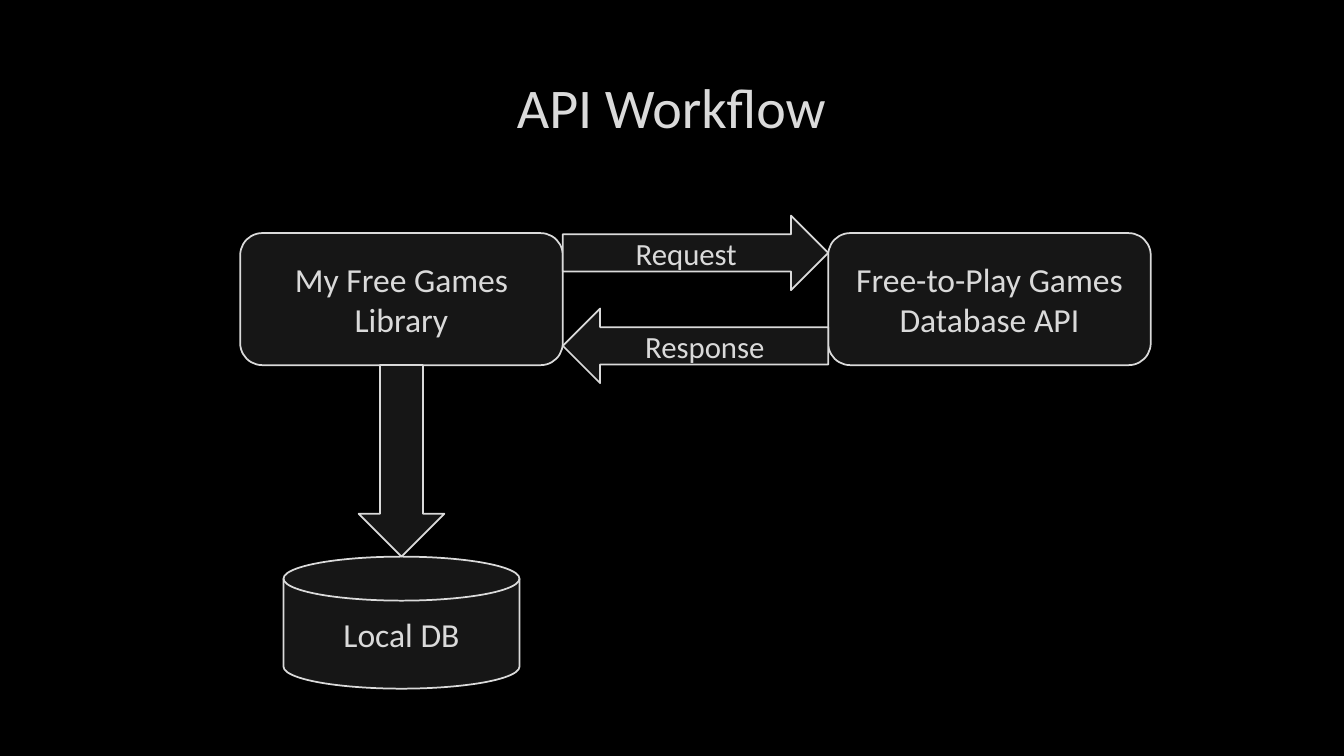
import pptx
import pptx.util
import pptx.dml.color
import pptx.enum.shapes
import pptx.enum.text

Pt = pptx.util.Pt
RGB = pptx.dml.color.RGBColor
KIND = pptx.enum.shapes.MSO_SHAPE
ANCHOR = pptx.enum.text.MSO_ANCHOR

BLACK = RGB(0x00, 0x00, 0x00)
DARK = RGB(0x16, 0x16, 0x16)
LIGHT = RGB(0xDA, 0xDA, 0xDA)
FONT = "Calibri"

TITLE = "API Workflow"
APPS = ["My Free Games Library", "Free-to-Play Games Database API"]
STORE = "Local DB"
CALLS = [("Request", KIND.RIGHT_ARROW), ("Response", KIND.LEFT_ARROW)]

LEFT, TOP = 171.6, 166.5     # corner of the first app box
WIDE, HIGH = 230.4, 94.3     # app box size
GAP = 189.6                  # space between the app boxes
CALL_TOP, CALL_HIGH, CALL_STEP = 154, 53.3, 66.4
DROP_WIDE, DROP_HIGH = 61.2, 136.8
STORE_WIDE = 168.6


def write(shape, text, size=24, anchor=ANCHOR.MIDDLE):
    """Put centred text into a shape."""
    frame = shape.text_frame
    frame.word_wrap = True
    frame.vertical_anchor = anchor
    par = frame.paragraphs[0]
    par.alignment = pptx.enum.text.PP_ALIGN.CENTER
    run = par.add_run()
    run.text = text
    run.font.name = FONT
    run.font.size = Pt(size)
    run.font.color.rgb = LIGHT


def draw(kind, left, top, width, height, text="", **form):
    """Add a dark shape with a light outline and optional text."""
    shape = slide.shapes.add_shape(
        kind, Pt(left), Pt(top), Pt(width), Pt(height))
    shape.shadow.inherit = False
    shape.fill.solid()
    shape.fill.fore_color.rgb = DARK
    shape.line.color.rgb = LIGHT
    shape.line.width = Pt(1.25)
    if text:
        write(shape, text, **form)


deck = pptx.Presentation()
deck.slide_width, deck.slide_height = Pt(960), Pt(540)
slide = deck.slides.add_slide(deck.slide_layouts[6])
slide.background.fill.solid()
slide.background.fill.fore_color.rgb = BLACK

title = slide.shapes.add_textbox(Pt(72), Pt(48.2), Pt(815), Pt(76.3))
write(title, TITLE, size=40, anchor=ANCHOR.TOP)

mid = LEFT + WIDE / 2
base = TOP + HIGH
draw(KIND.FLOWCHART_MAGNETIC_DISK, mid - STORE_WIDE / 2, base + DROP_HIGH,
     STORE_WIDE, HIGH, STORE)
for col, name in enumerate(APPS):
    draw(KIND.ROUNDED_RECTANGLE, LEFT + col * (WIDE + GAP), TOP,
         WIDE, HIGH, name)
draw(KIND.DOWN_ARROW, mid - DROP_WIDE / 2, base, DROP_WIDE, DROP_HIGH)
for row, (name, kind) in enumerate(CALLS):
    draw(kind, LEFT + WIDE, CALL_TOP + row * CALL_STEP, GAP, CALL_HIGH,
         name, size=22)

deck.save("out.pptx")
